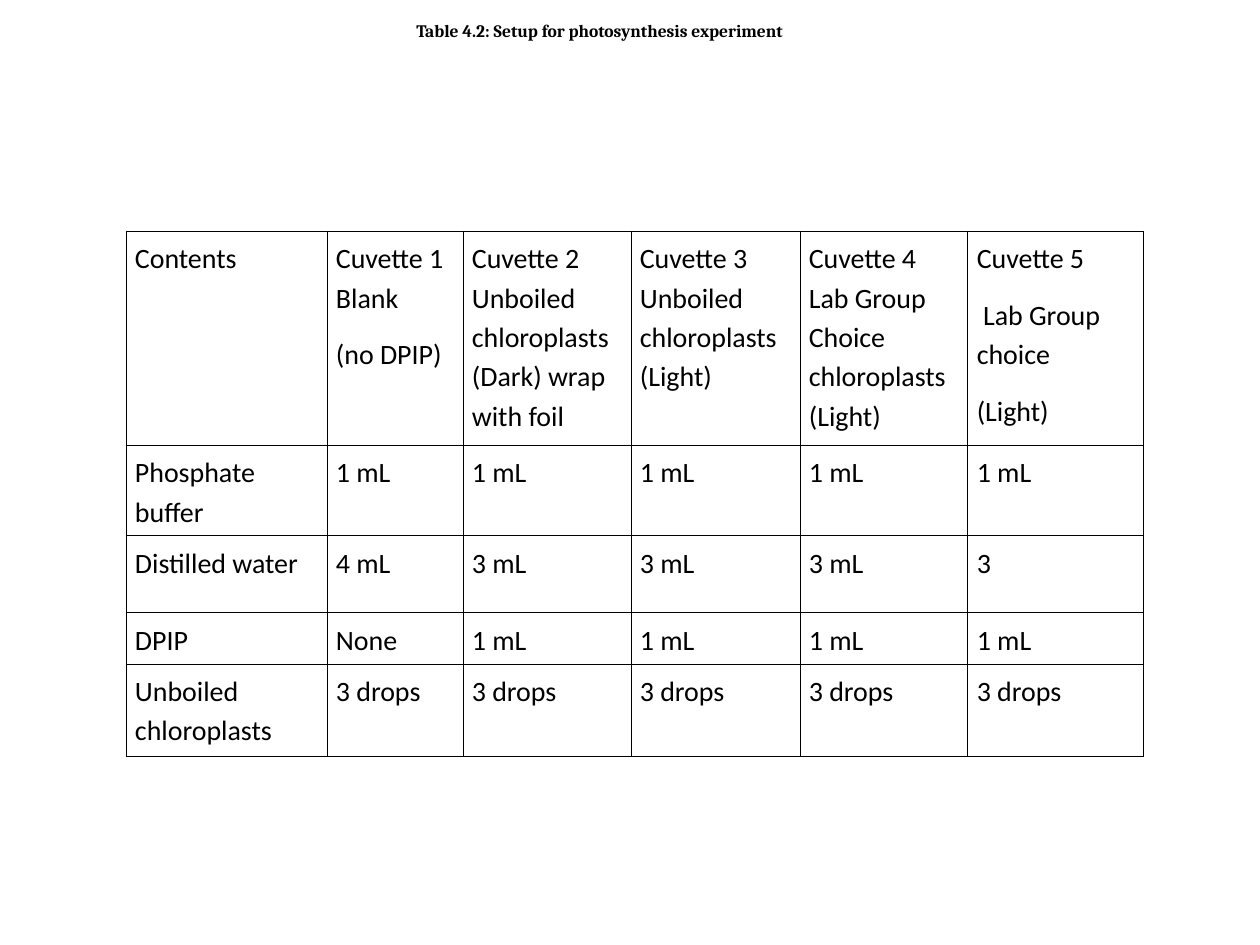
from lxml import etree
from pptx import Presentation
from pptx.dml.color import RGBColor
from pptx.enum.text import MSO_ANCHOR, PP_ALIGN
from pptx.oxml.ns import qn
from pptx.util import Emu, Pt

MIDDLE = MSO_ANCHOR.MIDDLE
LEFT = PP_ALIGN.LEFT
BLACK = RGBColor(0, 0, 0)
PX_PER_INCH = 126

COLUMN_WIDTHS = [201, 136, 168, 169, 168, 176]
ROW_HEIGHTS = [214, 77, 77, 45, 92]
SETUP_ROWS = [
    [
        "Contents",
        "Cuvette 1 Blank\n(no DPIP)",
        "Cuvette 2 Unboiled chloroplasts (Dark) wrap with foil",
        "Cuvette 3 Unboiled chloroplasts (Light)",
        "Cuvette 4 Lab Group Choice chloroplasts (Light)",
        "Cuvette 5\n Lab Group choice\n(Light)",
    ],
    ["Phosphate buffer"] + ["1 mL"] * 5,
    ["Distilled water", "4 mL"] + ["3 mL"] * 3 + ["3"],
    ["DPIP", "None"] + ["1 mL"] * 4,
    ["Unboiled chloroplasts"] + ["3 drops"] * 5,
]


def px(length):
    return Emu(round(length * 914400 / PX_PER_INCH))


class SlideBuilder:
    """Holds the style and the current slide, and adds elements to it."""

    caption_font = "Cambria"
    caption_size = Pt(10)
    table_font = "Calibri"
    table_size = Pt(16)
    border_width = Pt(0.45)

    def __init__(self, slide):
        self.slide = slide

    def style_font(self, paragraph, name, size, bold=False):
        font = paragraph.font
        font.name, font.size, font.bold = name, size, bold
        font.color.rgb = BLACK

    def caption(self, text, left, top, width, height):
        shape = self.slide.shapes.add_textbox(px(left), px(top), px(width), px(height))
        frame = shape.text_frame
        frame.word_wrap = True
        frame.vertical_anchor = MIDDLE
        paragraph = frame.paragraphs[0]
        paragraph.text = text
        paragraph.alignment = LEFT
        self.style_font(paragraph, self.caption_font, self.caption_size, bold=True)

    def table(self, rows, left, top, widths, heights):
        shape = self.slide.shapes.add_table(
            len(rows), len(widths), px(left), px(top), px(sum(widths)), px(sum(heights))
        )
        table = shape.table
        table.first_row = False
        table.horz_banding = False
        for column, width in zip(table.columns, widths):
            column.width = px(width)
        for row, height, texts in zip(table.rows, heights, rows):
            row.height = px(height)
            for cell, text in zip(row.cells, texts):
                self.fill_cell(cell, text)

    def fill_cell(self, cell, text):
        cell.margin_left = cell.margin_right = px(9)
        cell.margin_top = cell.margin_bottom = px(6)
        cell.text = text
        for paragraph in cell.text_frame.paragraphs:
            paragraph.line_spacing = 1.15
            paragraph.space_after = Pt(10)
            self.style_font(paragraph, self.table_font, self.table_size)
        self.border_cell(cell)
        cell.fill.background()

    def border_cell(self, cell):
        properties = cell._tc.get_or_add_tcPr()
        for side in ("a:lnL", "a:lnR", "a:lnT", "a:lnB"):
            line = etree.SubElement(properties, qn(side), w=str(self.border_width))
            fill = etree.SubElement(line, qn("a:solidFill"))
            etree.SubElement(fill, qn("a:srgbClr"), val=str(BLACK))


def main():
    presentation = Presentation()
    presentation.slide_width = px(1260)
    presentation.slide_height = px(945)
    slide = presentation.slides.add_slide(presentation.slide_layouts[6])
    builder = SlideBuilder(slide)
    builder.table(SETUP_ROWS, 126, 231, COLUMN_WIDTHS, ROW_HEIGHTS)
    builder.caption("Table 4.2: Setup for photosynthesis experiment", 404, 14, 450, 34)
    presentation.save("out.pptx")


if __name__ == "__main__":
    main()
